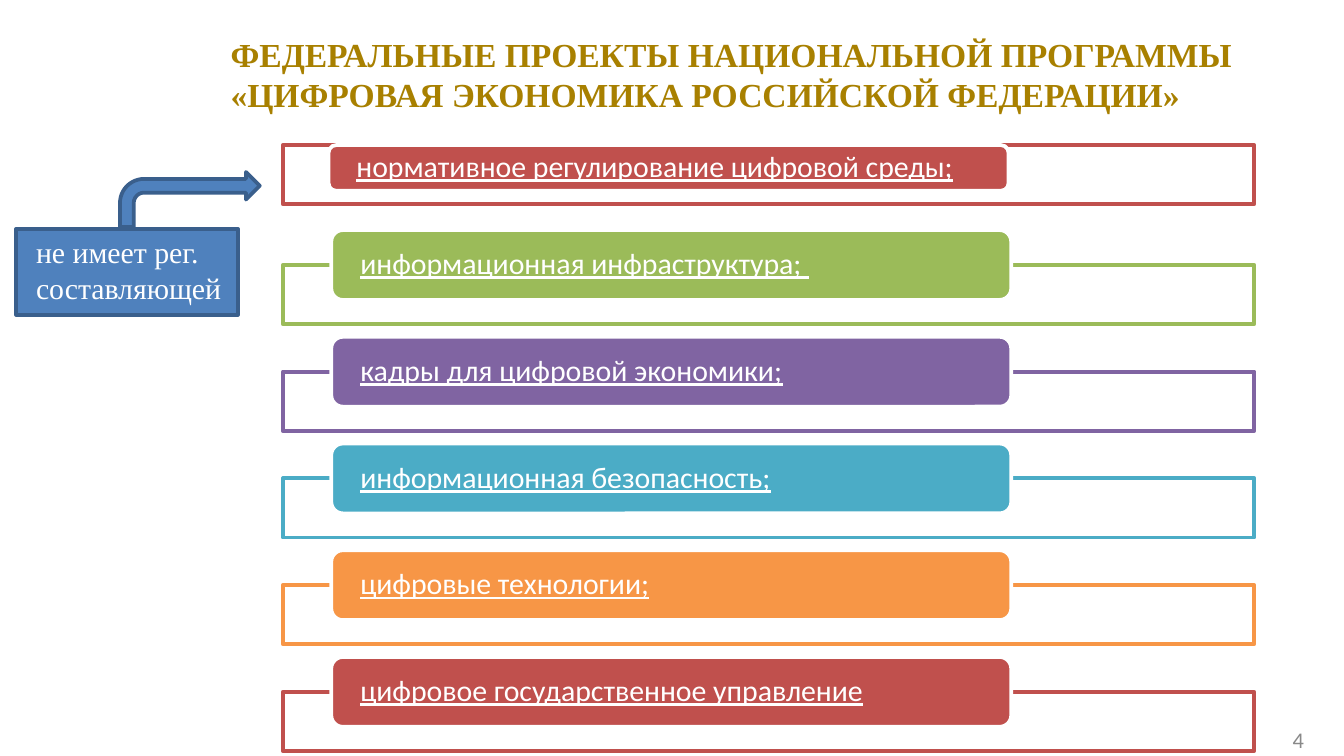
"""Slide listing the federal projects of the national digital economy programme."""
from lxml import etree
from pptx import Presentation, util as u
from pptx.dml.color import RGBColor
from pptx.enum import shapes, text
from pptx.oxml.ns import qn

COLORS = {
    "gold": "A88000", "gray": "898989", "white": "FFFFFF", "blue": "4F81BD", "navy": "3A5F8C",
    "red": "C0504D", "green": "9BBB59", "purple": "8064A2", "teal": "4BACC6", "orange": "F79646",
}
PROJECTS = [
    ("нормативное регулирование цифровой среды;", "red"),
    ("информационная инфраструктура; ", "green"),
    ("кадры для цифровой экономики;", "purple"),
    ("информационная безопасность;", "teal"),
    ("цифровые технологии;", "orange"),
    ("цифровое государственное управление", "red"),
]

deck = Presentation()
deck.slide_width = u.Inches(10)
deck.slide_height = deck.slide_width * 9 // 16
slide = deck.slides.add_slide(deck.slide_layouts[6])
cell = deck.slide_width / 100


def add_block(kind, left, top, width, height, fill, line):
    block = slide.shapes.add_shape(kind, *(round(n * cell) for n in (left, top, width, height)))
    block.shadow.inherit = False
    block.fill.solid()
    block.fill.fore_color.rgb = RGBColor.from_string(COLORS[fill])
    block.line.color.rgb = RGBColor.from_string(COLORS[line])
    block.line.width = u.Pt(2)
    return block


def write(holder, lines, font, size, color, align=text.PP_ALIGN.LEFT, inset=(1, 0.5)):
    frame = holder.text_frame
    frame.word_wrap = True
    frame.margin_left = frame.margin_right = round(inset[0] * cell)
    frame.margin_top = frame.margin_bottom = round(inset[1] * cell)
    frame.text = "\n".join(lines)
    for paragraph in frame.paragraphs:
        paragraph.alignment = align
        paragraph.font.name = font
        paragraph.font.size = u.Pt(size)
        paragraph.font.color.rgb = RGBColor.from_string(COLORS[color])
    return frame


add_block(shapes.MSO_SHAPE.RECTANGLE, 1.2, 17.03, 16.5, 6.4, "blue", "navy")

title = slide.shapes.add_textbox(*(round(n * cell) for n in (16.4, 2.15, 76.9, 6.8)))
heading = write(title, ["ФЕДЕРАЛЬНЫЕ ПРОЕКТЫ НАЦИОНАЛЬНОЙ ПРОГРАММЫ «ЦИФРОВАЯ ЭКОНОМИКА РОССИЙСКОЙ ФЕДЕРАЦИИ»"],
                "Times New Roman", 18, "gold", inset=(0.75, 0.38))
heading.paragraphs[0].font.bold = True

page_number = slide.shapes.add_textbox(*(round(n * cell) for n in (74.7, 53.5, 23.3, 3)))
write(page_number, ["4"], "Calibri", 12, "gray",
      text.PP_ALIGN.RIGHT).vertical_anchor = text.MSO_ANCHOR.MIDDLE

for row, (project, color) in enumerate(PROJECTS):
    if row == 0:
        frame_top, label_left, label_top, label_height = 10.8, 24.45, 10.8, 3.4
    else:
        frame_top = 19.72 + 7.94 * (row - 1)
        label_left, label_top, label_height = 24.65, frame_top - 2.6, 5.2
    outline = add_block(shapes.MSO_SHAPE.RECTANGLE, 21.04, frame_top, 72.3, 4.4, "white", color)
    white_fill = outline.element.spPr.find(qn("a:solidFill"))[0]
    etree.SubElement(white_fill, qn("a:alpha"), val="90000")
    label = add_block(shapes.MSO_SHAPE.ROUNDED_RECTANGLE, label_left, label_top, 50.6, label_height,
                      color, "white")
    caption = write(label, [project], "Calibri", 16, "white", inset=(1.91, 0))
    caption.vertical_anchor = text.MSO_ANCHOR.MIDDLE
    caption.paragraphs[0].line_spacing = 0.9
    caption.paragraphs[0].font.underline = True

remark = slide.shapes.add_textbox(*(round(n * cell) for n in (1.7, 16.9, 16, 6.4)))
write(remark, ["не имеет рег.", "составляющей"], "Times New Roman", 16, "white").word_wrap = False

add_block(shapes.MSO_SHAPE.BENT_ARROW, 8.93, 12.8, 10.4, 4.1, "blue", "navy")

deck.save("out.pptx")
